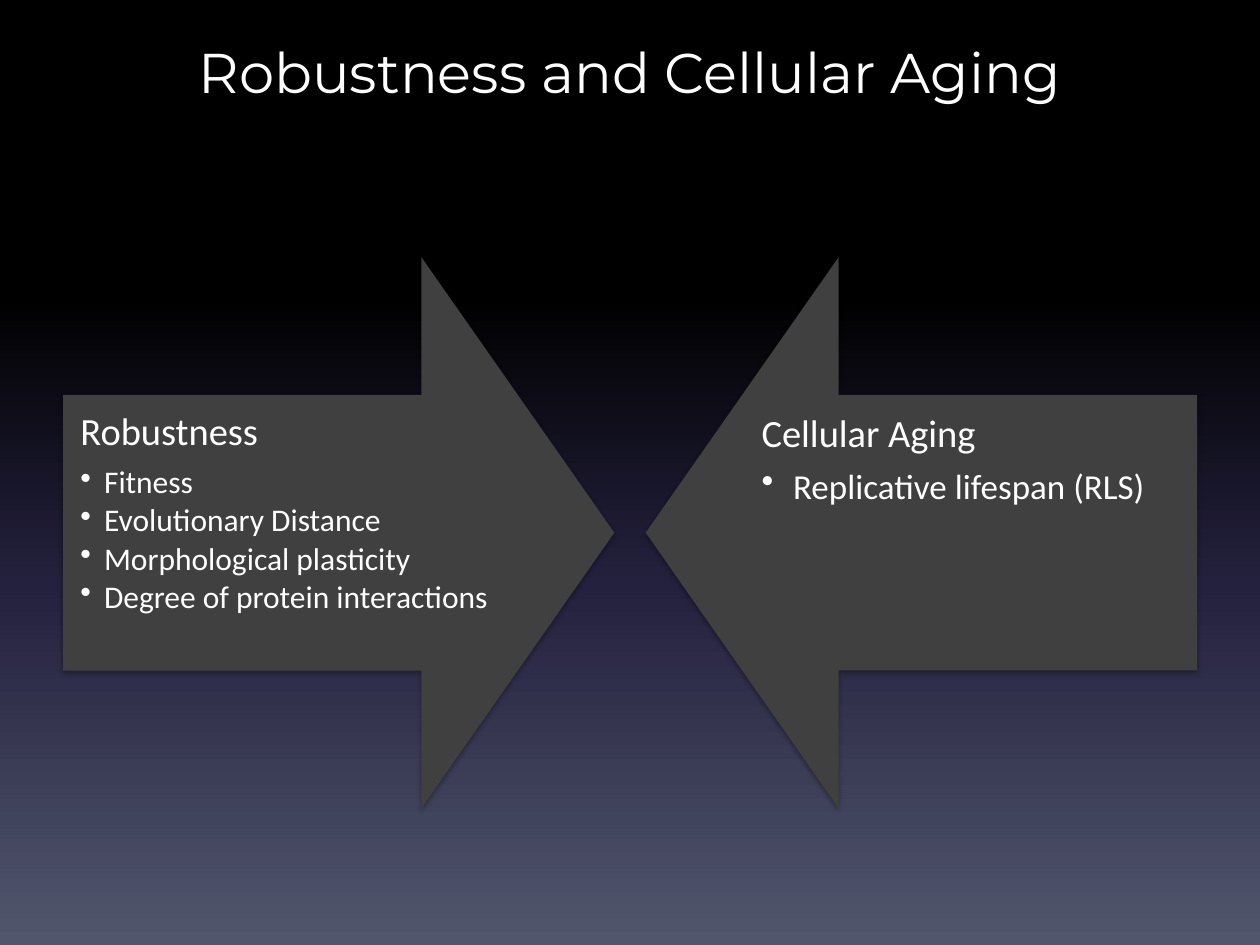
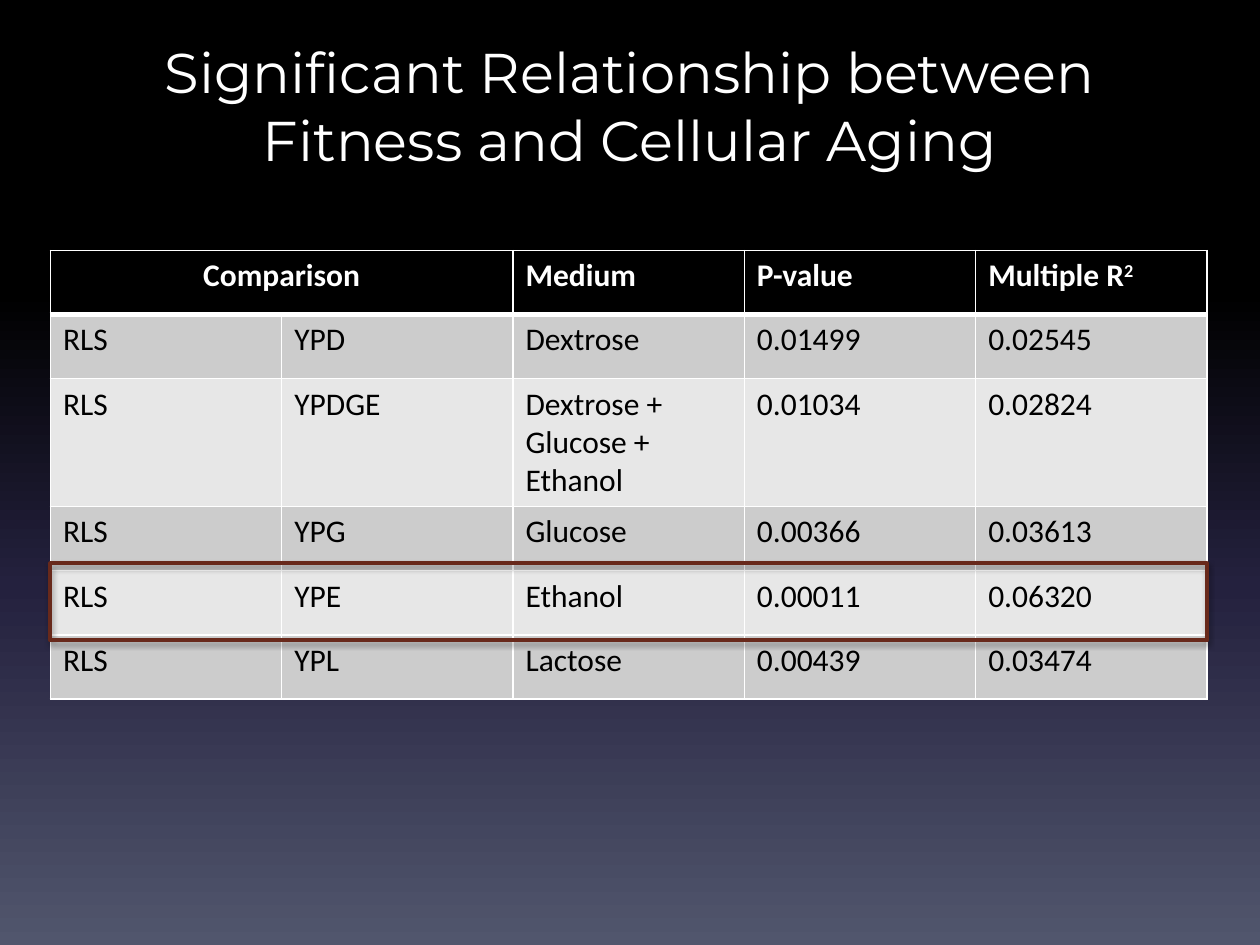
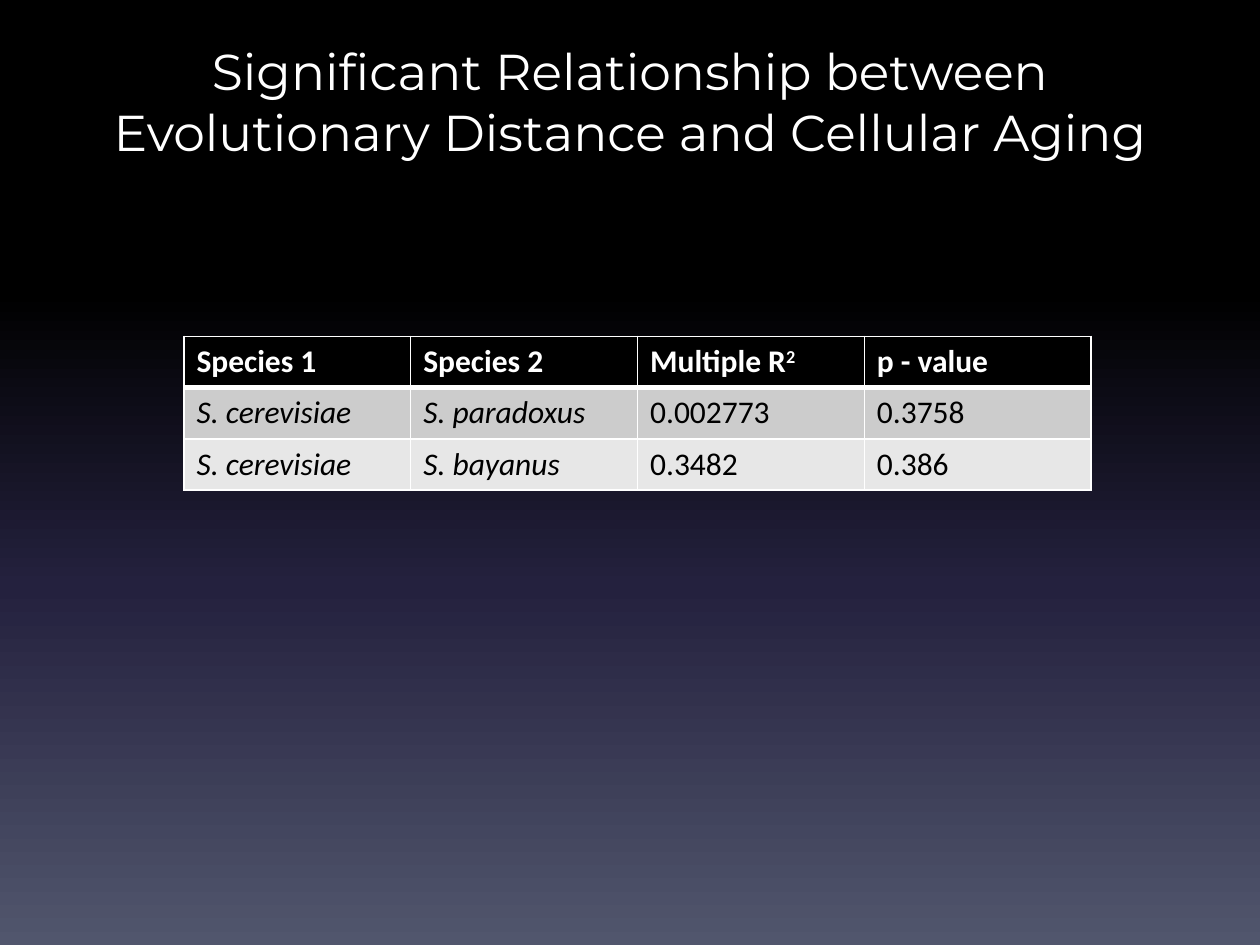
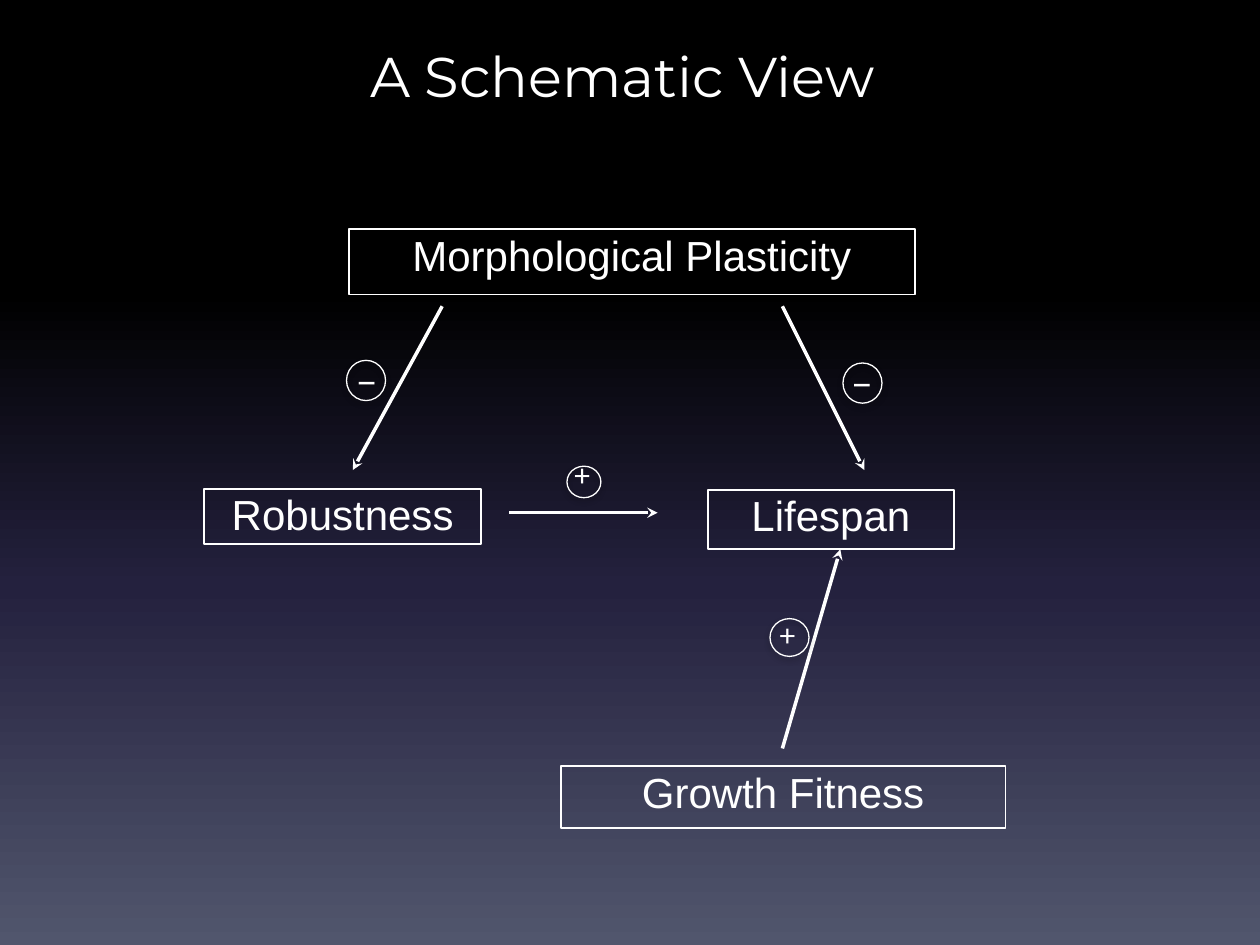
from lxml.etree import SubElement
from pptx import Presentation
from pptx.dml.color import RGBColor
from pptx.enum.shapes import MSO_CONNECTOR, MSO_SHAPE
from pptx.enum.text import MSO_ANCHOR, MSO_AUTO_SIZE, PP_ALIGN
from pptx.oxml.ns import qn
from pptx.util import Pt

WHITE = RGBColor(0xFF, 0xFF, 0xFF)
BLACK = RGBColor(0x00, 0x00, 0x00)
CHARCOAL = RGBColor(0x40, 0x40, 0x40)
RUST = RGBColor(0x68, 0x29, 0x1B)
BAND_DARK = RGBColor(0xCC, 0xCC, 0xCC)
BAND_LIGHT = RGBColor(0xE7, 0xE7, 0xE7)
INDIGO = RGBColor(0x24, 0x21, 0x3E)
SLATE = RGBColor(0x51, 0x56, 0x6D)
BACKDROP = [(0, BLACK), (31, BLACK), (62, INDIGO), (100, SLATE)]

TITLE_FONT, BODY_FONT, DIAGRAM_FONT = "Montserrat", "Calibri", "Arial"
TITLE_BOX = (36, 18, 648, 90)

ARROW_SIZE = 315
ARROW_TOP = 146.9
ARROWS = [
    dict(left=36, turn=270, text_left=36, inset=10, heading="Robustness", size=18, indent=13.5,
         items=["Fitness", "Evolutionary Distance", "Morphological plasticity",
                "Degree of protein interactions"]),
    dict(left=369, turn=90, text_left=424, inset=11.2, heading="Cellular Aging", size=20,
         indent=18, items=["Replicative lifespan (RLS)"]),
]

FITNESS_ROWS = [
    ["Comparison", "", "Medium", "P-value", "Multiple R^2"],
    ["RLS", "YPD", "Dextrose", "0.01499", "0.02545"],
    ["RLS", "YPDGE", "Dextrose + Glucose + Ethanol", "0.01034", "0.02824"],
    ["RLS", "YPG", "Glucose", "0.00366", "0.03613"],
    ["RLS", "YPE", "Ethanol", "0.00011", "0.06320"],
    ["RLS", "YPL", "Lactose", "0.00439", "0.03474"],
]
FITNESS_HEIGHTS = [36.6, 36.6, 73, 36.6, 36.6, 36.6]
ETHANOL_HIGHLIGHT = (28.8, 322, 661, 44)

SPECIES_ROWS = [
    ["Species 1", "Species 2", "Multiple R^2", "p - value"],
    ["S. cerevisiae", "S. paradoxus", "0.002773", "0.3758"],
    ["S. cerevisiae", "S. bayanus", "0.3482", "0.386"],
]

FACTORS = [
    ("Morphological Plasticity", (199.4, 131, 323.3, 37.4)),
    ("Robustness", (116.6, 279.4, 158.4, 31.7)),
    ("Lifespan", (404.6, 280, 140.4, 33.8)),
    ("Growth Fitness", (320.4, 437.8, 254.2, 35.3)),
]
EFFECTS = [
    (252.7, 175, 201.6, 268.6),
    (447.1, 175, 493.9, 268.6),
    (290.9, 293, 375.8, 293),
    (447.1, 427.7, 480.2, 313.9),
]
SIGNS = [
    ("_", (198, 205.9, 22.3, 23), (198, 195.8)),
    ("_", (481.7, 207.4, 22.3, 23), (481, 197.3)),
    ("+", (324, 266.4, 19.4, 18), (321.1, 256.3)),
    ("+", (440, 353.5, 22.3, 21.6), (438.5, 347.8)),
]


def points(values):
    return [Pt(value) for value in values]


def write(para, text, size=18, color=WHITE, font=BODY_FONT, bold=False, italic=False,
          align=PP_ALIGN.LEFT):
    para.alignment = align
    for index, part in enumerate(text.split("^")):
        span = para.add_run()
        span.text = part
        span.font.size, span.font.name = Pt(size), font
        span.font.bold, span.font.italic = bold, italic
        span.font.color.rgb = color
        if index:
            span._r.get_or_add_rPr().set("baseline", "30000")


def set_frame(frame, inset_x=7.2, inset_y=3.6):
    frame.word_wrap = True
    frame.auto_size = MSO_AUTO_SIZE.NONE
    frame.vertical_anchor = MSO_ANCHOR.TOP
    frame.margin_left = frame.margin_right = Pt(inset_x)
    frame.margin_top = frame.margin_bottom = Pt(inset_y)
    return frame


def paint_backdrop(master):
    fill = master.background.fill
    fill.gradient()
    fill.gradient_angle = 270
    stops = next(master.element.iter(qn("a:gsLst")))
    for stop in list(stops):
        stops.remove(stop)
    for percent, color in BACKDROP:
        stop = SubElement(stops, qn("a:gs"), pos=str(percent * 1000))
        SubElement(stop, qn("a:srgbClr"), val=str(color))


def add_page(deck, title, size=32, box=TITLE_BOX):
    page = deck.slides.add_slide(deck.slide_layouts[5])
    holder = page.shapes.title
    holder.left, holder.top, holder.width, holder.height = points(box)
    frame = set_frame(holder.text_frame)
    write(frame.paragraphs[0], title, size=size, font=TITLE_FONT, align=PP_ALIGN.CENTER)
    return page


def add_figure(page, kind, box, fill=None, line=None, width=1, shadow=False):
    shape = page.shapes.add_shape(kind, *points(box))
    if fill is None:
        shape.fill.background()
    else:
        shape.fill.solid()
        shape.fill.fore_color.rgb = fill
    if line is None:
        shape.line.fill.background()
    else:
        shape.line.color.rgb = line
        shape.line.width = Pt(width)
    shape.shadow.inherit = False
    if shadow:
        effects = next(shape.element.iter(qn("a:effectLst")))
        outer = SubElement(effects, qn("a:outerShdw"), blurRad=str(Pt(3.1)), dist=str(Pt(1.8)),
                           dir="5400000", rotWithShape="0")
        color = SubElement(outer, qn("a:srgbClr"), val=str(BLACK))
        SubElement(color, qn("a:alpha"), val="35000")
    return shape


def add_text_box(page, box, **insets):
    return set_frame(page.shapes.add_textbox(*points(box)).text_frame, **insets)


def add_bullet(para, indent):
    para.level = 1
    properties = para._p.get_or_add_pPr()
    properties.set("marL", str(Pt(indent)))
    properties.set("indent", str(-Pt(indent)))
    SubElement(properties, qn("a:buChar"), char="•")


def add_arrow(page, arrow):
    shape = add_figure(page, MSO_SHAPE.DOWN_ARROW,
                       (arrow["left"], ARROW_TOP, ARROW_SIZE, ARROW_SIZE),
                       fill=CHARCOAL, shadow=True)
    shape.adjustments[0], shape.adjustments[1] = 0.5, 0.35
    shape.rotation = arrow["turn"]
    frame = add_text_box(page, (arrow["text_left"], 225.4, 260, 157.7),
                         inset_x=arrow["inset"], inset_y=arrow["inset"])
    for index, text in enumerate([arrow["heading"]] + arrow["items"]):
        para = frame.add_paragraph() if index else frame.paragraphs[0]
        size, gap = (arrow["size"], 0.13) if index else (22, 0.34)
        write(para, text, size=size)
        para.line_spacing = 0.9
        para.space_before = Pt(0)
        para.space_after = Pt(round(size * gap, 1))
        if index:
            add_bullet(para, arrow["indent"])


def set_borders(cell, widths):
    properties = cell._tc.get_or_add_tcPr()
    for index, (side, width) in enumerate(zip("LRTB", widths)):
        border = SubElement(properties, qn("a:ln" + side), w=str(Pt(width)))
        fill = SubElement(border, qn("a:solidFill"))
        SubElement(fill, qn("a:srgbClr"), val=str(WHITE))
        properties.insert(index, border)


def add_grid(page, rows, left, top, column_width, heights):
    columns = len(rows[0])
    table = page.shapes.add_table(len(rows), columns, *points(
        (left, top, column_width * columns, sum(heights)))).table
    for column in table.columns:
        column.width = Pt(column_width)
    for row_index, (row, height) in enumerate(zip(rows, heights)):
        table.rows[row_index].height = Pt(height)
        header = row_index == 0
        band = BLACK if header else BAND_DARK if row_index % 2 else BAND_LIGHT
        for column_index, text in enumerate(row):
            cell = table.cell(row_index, column_index)
            cell.fill.solid()
            cell.fill.fore_color.rgb = band
            set_borders(cell, (1, 1, 3 if row_index == 1 else 1, 3 if header else 1))
            if text:
                write(cell.text_frame.paragraphs[0], text, color=WHITE if header else BLACK,
                      bold=header, italic=text.startswith("S. "))
    return table


def add_effect(page, ends):
    connector = page.shapes.add_connector(MSO_CONNECTOR.STRAIGHT, *points(ends))
    connector.line.color.rgb = WHITE
    connector.line.width = Pt(2)
    SubElement(connector.line._get_or_add_ln(), qn("a:tailEnd"), type="stealth")
    SubElement(connector.element.spPr, qn("a:effectLst"))


def build_robustness(deck):
    page = add_page(deck, "Robustness and Cellular Aging")
    for arrow in ARROWS:
        add_arrow(page, arrow)


def build_fitness(deck):
    page = add_page(deck, "Significant Relationship between Fitness and Cellular Aging")
    table = add_grid(page, FITNESS_ROWS, 28.8, 143.2, 132.2, FITNESS_HEIGHTS)
    table.cell(0, 0).merge(table.cell(0, 1))
    table.cell(0, 0).text_frame.paragraphs[0].alignment = PP_ALIGN.CENTER
    add_figure(page, MSO_SHAPE.RECTANGLE, ETHANOL_HIGHLIGHT, line=RUST, width=2.25, shadow=True)


def build_species(deck):
    page = add_page(
        deck, "Significant Relationship between Evolutionary Distance and Cellular Aging",
        size=28.8, box=(36, 19.4, 648, 90))
    add_grid(page, SPECIES_ROWS, 105.1, 192.2, 129.6, [29.3] * len(SPECIES_ROWS))


def build_schematic(deck):
    page = add_page(deck, "A Schematic View", box=(22.3, 20.2, 666.7, 46))
    for name, box in FACTORS:
        shape = add_figure(page, MSO_SHAPE.RECTANGLE, box, line=WHITE)
        frame = set_frame(shape.text_frame, inset_x=0, inset_y=0)
        write(frame.paragraphs[0], name, size=24, font=DIAGRAM_FONT, align=PP_ALIGN.CENTER)
    for ends in EFFECTS:
        add_effect(page, ends)
    for sign, circle, corner in SIGNS:
        add_figure(page, MSO_SHAPE.OVAL, circle, line=WHITE, width=0.75, shadow=True)
        frame = add_text_box(page, (*corner, 28.8, 28.8))
        write(frame.paragraphs[0], sign, bold=sign == "_")


def main():
    deck = Presentation()
    deck.slide_width, deck.slide_height = Pt(720), Pt(540)
    paint_backdrop(deck.slide_master)
    for build in (build_robustness, build_fitness, build_species, build_schematic):
        build(deck)
    deck.save("out.pptx")


if __name__ == "__main__":
    main()
